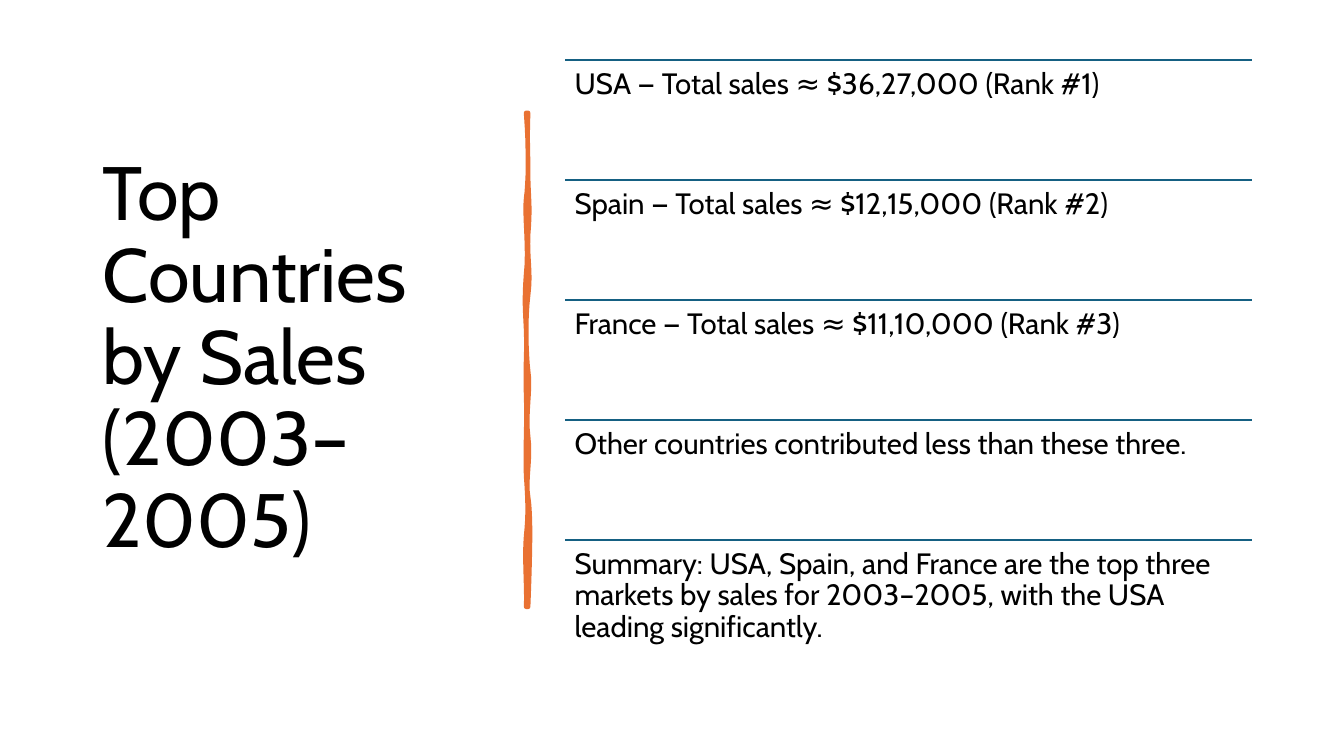
from lxml import etree
from pptx import Presentation
from pptx import util as u
from pptx.dml.color import RGBColor
from pptx.enum import shapes, text
from pptx.oxml.ns import qn

HUES = {"ink": "000000", "rule": "156082", "brush": "E97132"}
FONT = "Cabin"

TITLE = "Top Countries by Sales (2003–2005)"
ROWS = [
    "USA — Total sales ≈ $36,27,000 (Rank #1)",
    "Spain — Total sales ≈ $12,15,000 (Rank #2)",
    "France — Total sales ≈ $11,10,000 (Rank #3)",
    "Other countries contributed less than these three.",
    "Summary: USA, Spain, and France are the top three markets by sales "
    "for 2003–2005, with the USA leading significantly.",
]
LEFT, TOP, WIDE, STEP = 14.25, 1.52, 17.29, 3.02

START = (5.24, 1.12)
CURVES = [
    (5.23, 1.42, 5.24, 1.49, 5.24, 1.77),
    (5.25, 2.06, 5.26, 2.07, 5.24, 2.33),
    (5.23, 2.59, 5.27, 2.69, 5.24, 2.93),
    (5.21, 3.17, 5.22, 3.5, 5.24, 3.68),
    (5.27, 3.86, 5.21, 4.1, 5.24, 4.33),
    (5.27, 4.56, 5.21, 4.76, 5.24, 4.93),
    (5.27, 5.11, 5.26, 5.51, 5.24, 6.02),
    (5.23, 6.02, 5.23, 6.02, 5.22, 6.02),
    (5.23, 5.84, 5.2, 5.53, 5.22, 5.32),
    (5.24, 5.12, 5.24, 5, 5.22, 4.72),
    (5.21, 4.44, 5.23, 4.22, 5.22, 3.92),
    (5.21, 3.63, 5.23, 3.47, 5.22, 3.27),
    (5.21, 3.07, 5.2, 2.97, 5.22, 2.72),
    (5.25, 2.47, 5.2, 2.12, 5.22, 1.97),
    (5.24, 1.82, 5.25, 1.52, 5.22, 1.12),
]


def trace(start, curves, parts=8):
    spots = [start]
    for ax, ay, bx, by, x, y in curves:
        knots = [spots[-1], (ax, ay), (bx, by), (x, y)]
        for i in range(1, parts + 1):
            t = i / parts
            mix = [(1 - t) ** 3, 3 * t * (1 - t) ** 2, 3 * t * t * (1 - t), t ** 3]
            spots.append(tuple(sum(m * k[axis] for m, k in zip(mix, knots))
                               for axis in (0, 1)))
    return [(u.Cm(x * 2.54), u.Cm(y * 2.54)) for x, y in spots]


def apply(item, form):
    for name, value in form.items():
        setattr(item, name, value)


class Deck:
    def __init__(self):
        self.show = Presentation()
        apply(self.show, {"slide_width": u.Cm(33.87), "slide_height": u.Cm(19.05)})
        self.slide = self.show.slides.add_slide(self.show.slide_layouts[5])
        self.items = self.slide.shapes

    def hue(self, name):
        return RGBColor.from_string(HUES[name])

    def label(self, shape, words, size, anchor, inset):
        frame = shape.text_frame
        frame.text = words
        apply(frame, {"word_wrap": True, "auto_size": text.MSO_AUTO_SIZE.NONE,
                      "vertical_anchor": anchor})
        apply(frame, {f"margin_{side}": u.Cm(inset)
                      for side in ("left", "right", "top", "bottom")})
        para = frame.paragraphs[0]
        apply(para, {"alignment": text.PP_ALIGN.LEFT, "line_spacing": 0.9})
        font = para.runs[0].font
        apply(font, {"name": FONT, "size": u.Pt(size)})
        font.color.rgb = self.hue("ink")

    def title(self, words, x, y, w, h):
        shape = self.items.title
        apply(shape, {"left": u.Cm(x), "top": u.Cm(y),
                      "width": u.Cm(w), "height": u.Cm(h)})
        self.label(shape, words, 54, text.MSO_ANCHOR.MIDDLE, 0.25)

    def note(self, words, x, y, w, h):
        shape = self.items.add_textbox(u.Cm(x), u.Cm(y), u.Cm(w), u.Cm(h))
        self.label(shape, words, 21, text.MSO_ANCHOR.TOP, 0.23)

    def rule(self, x, y, w):
        line = self.items.add_connector(
            shapes.MSO_CONNECTOR.STRAIGHT, u.Cm(x), u.Cm(y), u.Cm(x + w), u.Cm(y))
        line.line.color.rgb = self.hue("rule")
        line.line.width = u.Pt(1.5)
        etree.SubElement(line._element.spPr, qn("a:effectLst"))

    def brush(self, spots):
        pen = self.items.build_freeform(*spots[0])
        pen.add_line_segments(spots[1:], close=True)
        shape = pen.convert_to_shape()
        shape.shadow.inherit = False
        shape.fill.solid()
        shape.fill.fore_color.rgb = self.hue("brush")
        shape.line.color.rgb = self.hue("brush")
        shape.line.width = u.Pt(3.25)


def main():
    deck = Deck()
    deck.title(TITLE, 2.34, 1.52, 10.01, 15.09)
    deck.brush(trace(START, CURVES))
    for i, words in enumerate(ROWS):
        y = TOP + i * STEP
        deck.rule(LEFT, y, WIDE)
        deck.note(words, LEFT, y, WIDE, STEP)
    deck.show.save("out.pptx")


if __name__ == "__main__":
    main()
